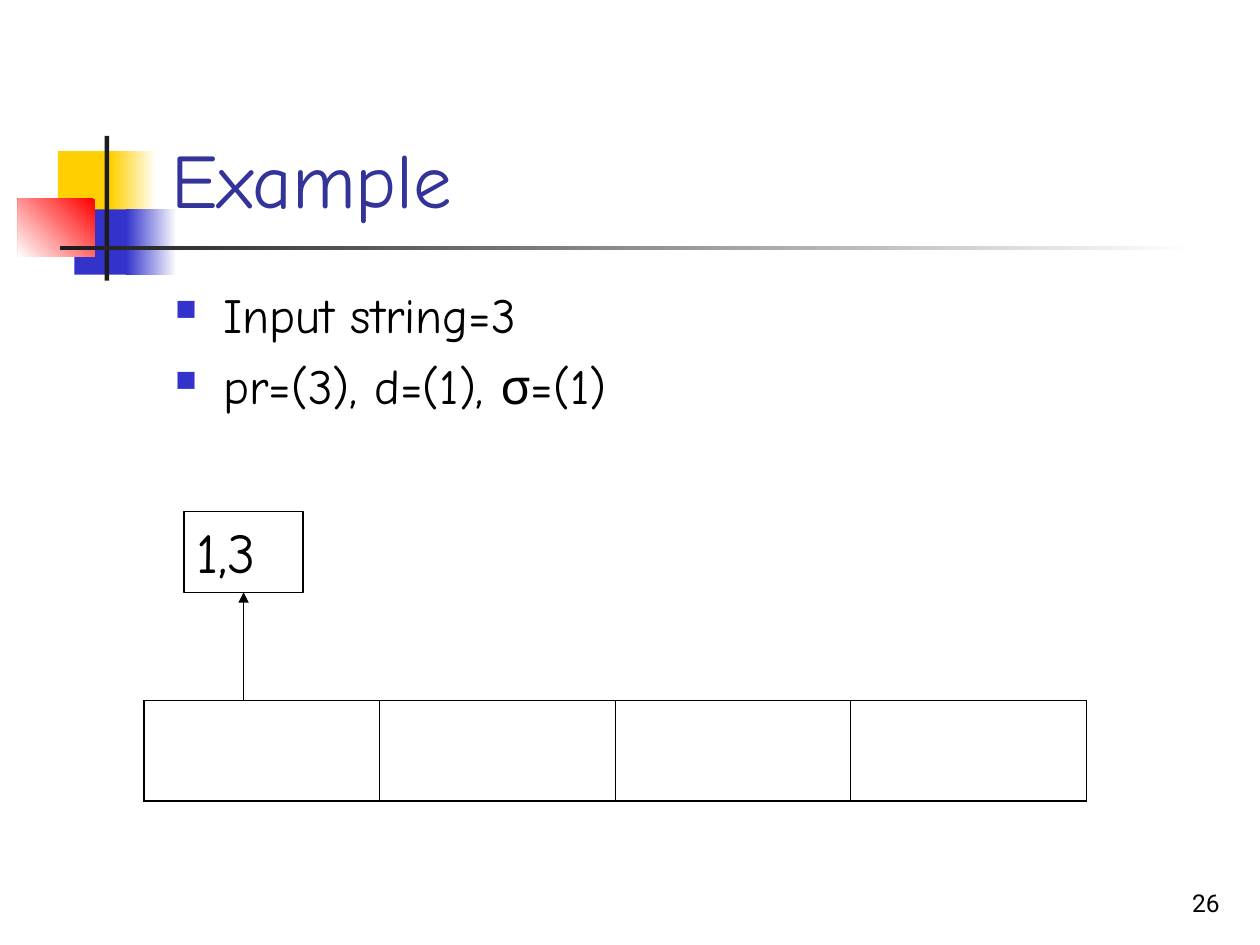
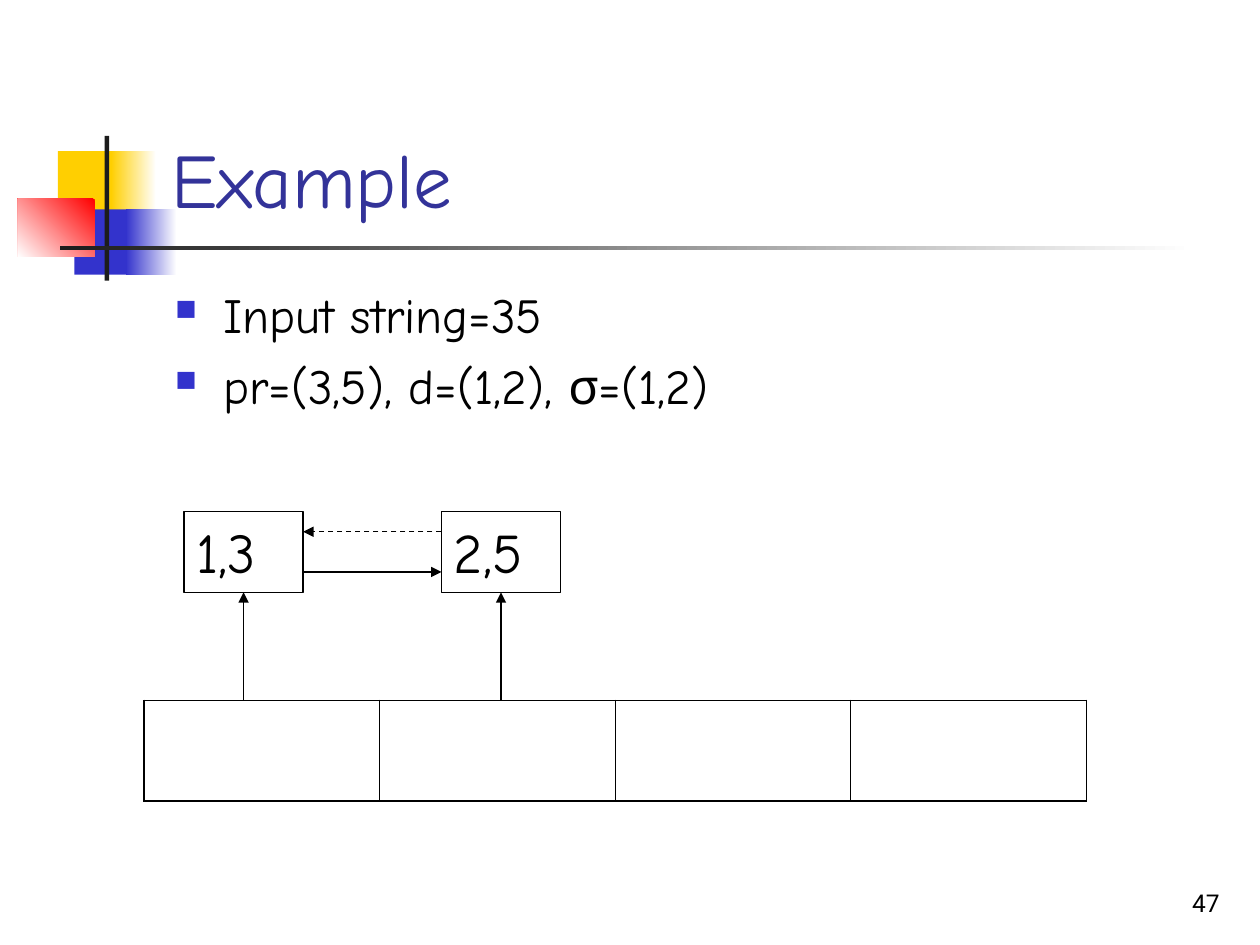
from dataclasses import dataclass

from lxml import etree
from pptx import Presentation
from pptx import util as u
from pptx.dml.color import RGBColor
from pptx.enum import dml, shapes, text
from pptx.oxml import ns

HAND_FONT, NUMBER_FONT = "Comic Neue", "Roboto"
BLACK, WHITE, CHARCOAL = "000000", "FFFFFF", "1C1C1C"
YELLOW, BLUE, RED, TITLE_BLUE = "FFCF01", "3333CC", "FF0000", "333399"
THIN = 0.75

# Lengths in centimetres
TABLE_LEFT, TABLE_TOP, TABLE_HEIGHT = 2.9, 14.12, 2.03
COLUMN_COUNT, COLUMN_WIDTH = 4, 4.75
NODE_LEFT, NODE_TOP, NODE_WIDTH, NODE_HEIGHT = 3.71, 10.31, 2.4, 1.63
NODE_STEP = 5.19
BACK_LINK_Y, FORWARD_LINK_Y = 10.72, 11.53


@dataclass(frozen=True)
class Box:
    left: float
    top: float
    width: float
    height: float

    def lengths(self) -> list[u.Cm]:
        return [u.Cm(side) for side in (self.left, self.top, self.width, self.height)]


@dataclass(frozen=True)
class Ornament:
    box: Box
    start: str
    end: str = ""
    angle: float = 180


@dataclass(frozen=True)
class ExampleSlide:
    number: int
    bullets: tuple[str, ...]
    nodes: tuple[str, ...]


ORNAMENTS = (
    Ornament(Box(1.17, 3.05, 1.22, 1.32), YELLOW),
    Ornament(Box(2.24, 3.05, 0.91, 1.32), WHITE, YELLOW),
    Ornament(Box(1.5, 4.22, 1.17, 1.32), BLUE),
    Ornament(Box(2.54, 4.22, 1.02, 1.32), WHITE, BLUE),
    Ornament(Box(0.36, 4.01, 1.55, 1.17), RED, WHITE, 225),
    Ornament(Box(2.11, 2.74, 0.09, 2.92), CHARCOAL),
    Ornament(Box(1.22, 4.95, 22.86, 0.09), WHITE, CHARCOAL),
)
TITLE_BOX = Box(3.2, 0.58, 21.64, 4.06)
BODY_BOX = Box(3.28, 5.61, 18.82, 11.43)
NUMBER_BOX = Box(19.56, 17.35, 5.28, 1.27)

EXAMPLES = (
    ExampleSlide(26, ("Input string=3", "pr=(3), d=(1), σ=(1)"), ("1,3",)),
    ExampleSlide(47, ("Input string=35", "pr=(3,5), d=(1,2), σ=(1,2)"), ("1,3", "2,5")),
)


def color(value: str) -> RGBColor:
    return RGBColor.from_string(value)


def add_xml(parent, tag: str, **attributes: str):
    return etree.SubElement(parent, ns.qn(tag), attributes)


def style(paragraph, size: float, font: str = HAND_FONT, ink: str = BLACK) -> None:
    paragraph.font.size = u.Pt(size)
    paragraph.font.name = font
    paragraph.font.color.rgb = color(ink)


def add_rectangle(slide, box: Box):
    rectangle = slide.shapes.add_shape(shapes.MSO_SHAPE.RECTANGLE, *box.lengths())
    rectangle.shadow.inherit = False
    return rectangle


def add_ornament(slide, ornament: Ornament) -> None:
    rectangle = add_rectangle(slide, ornament.box)
    rectangle.line.fill.background()
    if not ornament.end:
        rectangle.fill.solid()
        rectangle.fill.fore_color.rgb = color(ornament.start)
        return
    rectangle.fill.gradient()
    rectangle.fill.gradient_angle = ornament.angle
    for stop, value, position in zip(
        rectangle.fill.gradient_stops, (ornament.start, ornament.end), (0, 1)
    ):
        stop.color.rgb = color(value)
        stop.position = position


def add_text(slide, box: Box, content: str, anchor=text.MSO_ANCHOR.TOP):
    frame = slide.shapes.add_textbox(*box.lengths()).text_frame
    frame.word_wrap = True
    frame.vertical_anchor = anchor
    frame.text = content
    return frame


def add_bullets(slide, bullets: tuple[str, ...]) -> None:
    frame = add_text(slide, BODY_BOX, "\n".join(bullets))
    indent = u.Cm(0.97)
    for index, paragraph in enumerate(frame.paragraphs):
        properties = paragraph._p.get_or_add_pPr()
        properties.set("marL", str(indent))
        properties.set("indent", str(-indent))
        add_xml(add_xml(properties, "a:buClr"), "a:srgbClr", val=BLUE)
        add_xml(properties, "a:buSzPct", val="60000")
        add_xml(properties, "a:buChar", char="■")
        paragraph.space_before = u.Pt(7 if index else 0)
        style(paragraph, 28)


def add_node(slide, left: float, label: str) -> None:
    node = add_rectangle(slide, Box(left, NODE_TOP, NODE_WIDTH, NODE_HEIGHT))
    node.fill.background()
    node.line.color.rgb = color(BLACK)
    node.line.width = u.Pt(THIN)
    frame = node.text_frame
    frame.vertical_anchor = text.MSO_ANCHOR.TOP
    frame.text = label
    frame.paragraphs[0].alignment = text.PP_ALIGN.LEFT
    style(frame.paragraphs[0], 32)


def add_arrow(
    slide, start: tuple[float, float], end: tuple[float, float], dashed: bool = False
) -> None:
    arrow = slide.shapes.add_connector(
        shapes.MSO_CONNECTOR.STRAIGHT, *(u.Cm(value) for value in start + end)
    )
    arrow.line.color.rgb = color(BLACK)
    arrow.line.width = u.Pt(THIN)
    if dashed:
        arrow.line.dash_style = dml.MSO_LINE.DASH
    properties = arrow.element.spPr
    add_xml(properties.find(ns.qn("a:ln")), "a:tailEnd", type="triangle")
    add_xml(properties, "a:effectLst")


def add_array(slide) -> None:
    """Draw the empty row of cells, with a heavier outer border."""
    box = Box(TABLE_LEFT, TABLE_TOP, COLUMN_COUNT * COLUMN_WIDTH, TABLE_HEIGHT)
    table = slide.shapes.add_table(1, COLUMN_COUNT, *box.lengths()).table
    table.first_row = table.horz_banding = False
    outer, inner = u.Pt(1.08), u.Pt(0.45)
    for index, cell in enumerate(table.iter_cells()):
        borders = {
            "a:lnL": outer if index == 0 else inner,
            "a:lnR": outer if index == COLUMN_COUNT - 1 else inner,
            "a:lnT": outer,
            "a:lnB": outer,
        }
        properties = cell._tc.get_or_add_tcPr()
        for tag, width in borders.items():
            border = add_xml(properties, tag, w=str(width))
            add_xml(add_xml(border, "a:solidFill"), "a:srgbClr", val=BLACK)
        cell.fill.background()


def add_linked_nodes(slide, labels: tuple[str, ...]) -> None:
    """Draw each node above the array and link it both ways to the one before."""
    for index, label in enumerate(labels):
        left = NODE_LEFT + index * NODE_STEP
        center = left + NODE_WIDTH / 2
        add_node(slide, left, label)
        add_arrow(slide, (center, TABLE_TOP), (center, NODE_TOP + NODE_HEIGHT))
        if index:
            previous_right = left - NODE_STEP + NODE_WIDTH
            add_arrow(slide, (previous_right, FORWARD_LINK_Y), (left, FORWARD_LINK_Y))
            add_arrow(slide, (left, BACK_LINK_Y), (previous_right, BACK_LINK_Y), dashed=True)


def add_example(presentation, example: ExampleSlide) -> None:
    slide = presentation.slides.add_slide(presentation.slide_layouts[6])
    for ornament in ORNAMENTS:
        add_ornament(slide, ornament)
    title = add_text(slide, TITLE_BOX, "Example", text.MSO_ANCHOR.BOTTOM).paragraphs[0]
    style(title, 44, ink=TITLE_BLUE)
    add_bullets(slide, example.bullets)
    add_array(slide)
    add_linked_nodes(slide, example.nodes)
    number = add_text(
        slide, NUMBER_BOX, str(example.number), text.MSO_ANCHOR.BOTTOM
    ).paragraphs[0]
    number.alignment = text.PP_ALIGN.RIGHT
    style(number, 14, NUMBER_FONT)


def main() -> None:
    presentation = Presentation()
    presentation.slide_width, presentation.slide_height = u.Cm(25.4), u.Cm(19.05)
    for example in EXAMPLES:
        add_example(presentation, example)
    presentation.save("out.pptx")


if __name__ == "__main__":
    main()
